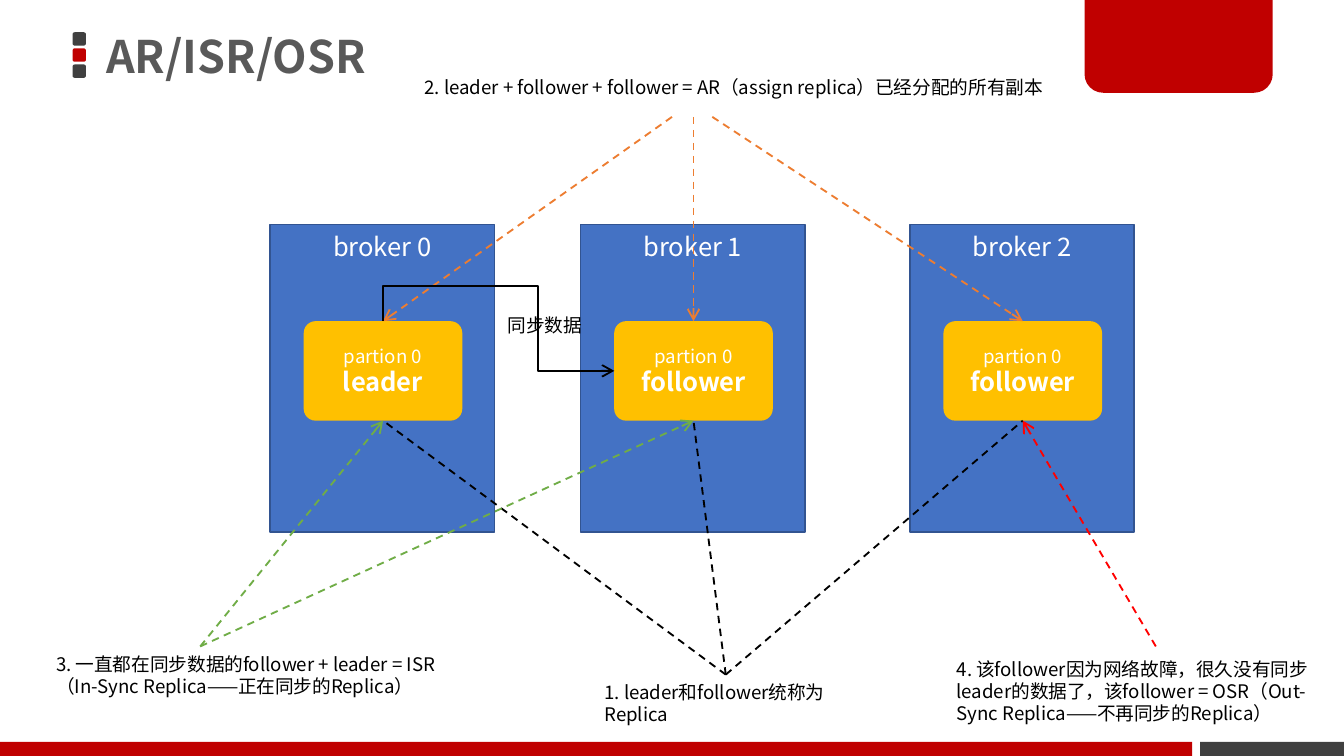
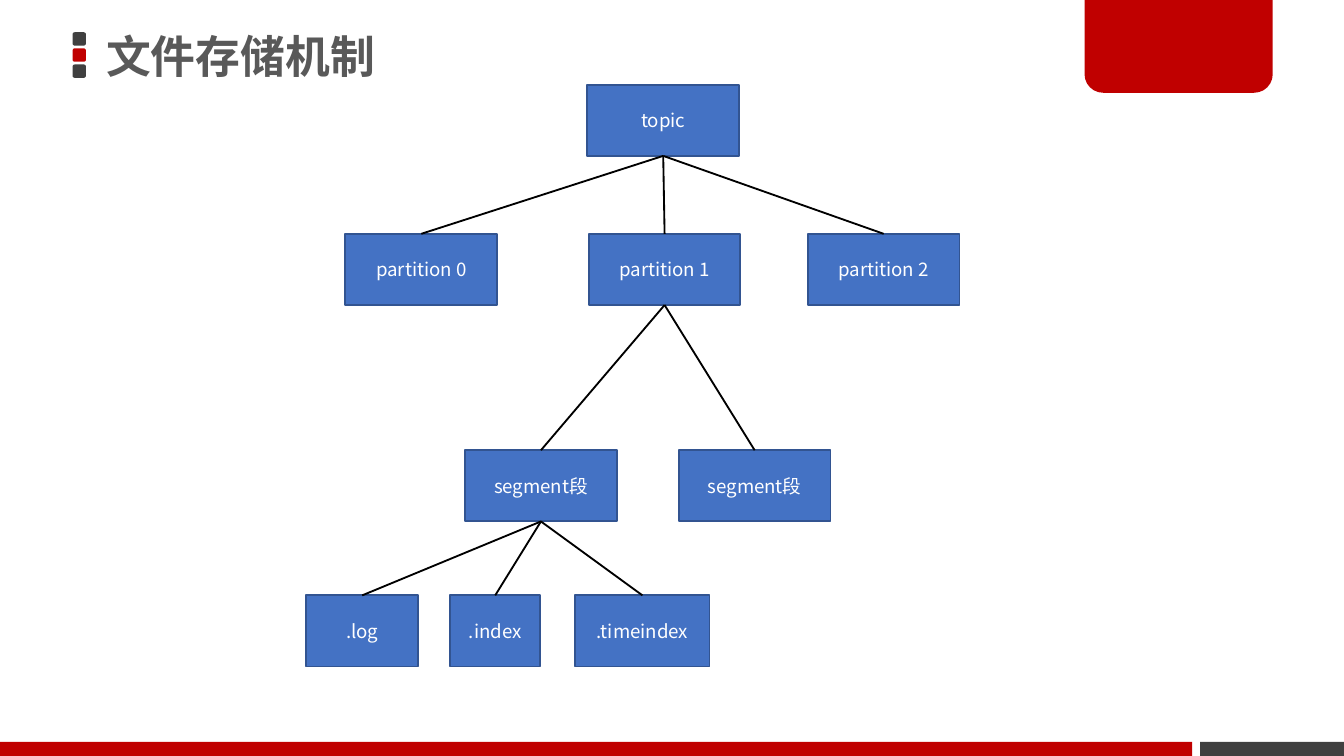
"""Build two slides on replica sets and file storage in a message queue."""
from dataclasses import dataclass
from typing import Optional

from lxml.etree import SubElement
from pptx import Presentation
from pptx.dml.color import RGBColor
from pptx.enum.dml import MSO_LINE
from pptx.enum.shapes import MSO_CONNECTOR as Link, MSO_SHAPE as Preset
from pptx.enum.text import MSO_ANCHOR as Anchor, MSO_AUTO_SIZE as AutoSize, PP_ALIGN as Align
from pptx.oxml.ns import qn
from pptx.util import Inches, Pt

RED = RGBColor(0xC0, 0x00, 0x00)
DARK = RGBColor(0x40, 0x40, 0x40)
TITLE_GREY = RGBColor(0x59, 0x59, 0x59)
BLUE = RGBColor(0x44, 0x72, 0xC4)
NAVY = RGBColor(0x32, 0x54, 0x91)
GOLD = RGBColor(0xFF, 0xC0, 0x00)
WHITE = RGBColor(0xFF, 0xFF, 0xFF)
BLACK = RGBColor(0x00, 0x00, 0x00)
ORANGE = RGBColor(0xED, 0x7D, 0x31)
GREEN = RGBColor(0x70, 0xAD, 0x47)
ALERT = RGBColor(0xFF, 0x00, 0x00)

FONT = "Noto Sans CJK SC"
COLUMNS, ROWS = 100, 56.25
CELL = Inches(0.1)
TOP, LEFT, BOTTOM = 0, 1, 2
SMALL, LARGE, TITLE_SIZE = 10, 13.7, 24
LINE_HEIGHT = 1.18
BROKER_ROW, PARTITION_ROW = 16.7, 23.9
PARTITION_SHIFT = 2.5
TREE_ROWS = (6.3, 17.4, 33.5, 44.3)


@dataclass(frozen=True)
class Area:
    column: float
    row: float
    width: float
    height: float

    def lengths(self) -> tuple:
        return tuple(cells(n) for n in (self.column, self.row, self.width, self.height))


@dataclass(frozen=True)
class Block:
    area: Area
    fill: RGBColor
    preset: int = Preset.RECTANGLE
    adjustments: tuple = ()
    line: Optional[RGBColor] = None


@dataclass(frozen=True)
class Broker:
    name: str
    role: str
    column: float


@dataclass(frozen=True)
class Note:
    text: str
    area: Area


@dataclass(frozen=True)
class Ray:
    column: float
    row: float
    target: int
    side: int
    color: RGBColor
    arrow: bool = True


@dataclass(frozen=True)
class Node:
    text: str
    column: float
    width: float = 11.3
    children: tuple = ()


FRAME = [
    *(Block(Area(5.4, 2.4 + 1.2 * i, 1, 1), color, Preset.ROUNDED_RECTANGLE, (0.167,))
      for i, color in enumerate((DARK, RED, DARK))),
    Block(Area(89.3, 55.2, 10.7, 1.05), DARK),
    Block(Area(80.7, 0, 14, 6.9), RED, Preset.ROUND_2_SAME_RECTANGLE, (0, 0.2)),
    Block(Area(0, 55.2, 88.7, 1.05), RED),
]
BROKERS = [
    Broker("broker 0", "leader", 20.1),
    Broker("broker 1", "follower", 43.2),
    Broker("broker 2", "follower", 67.7),
]
RAYS = [
    *(Ray(54, 50.2, i, BOTTOM, BLACK, arrow=False) for i in range(3)),
    *(Ray(column, 8.7, i, TOP, ORANGE) for i, column in enumerate((50, 51.6, 53))),
    *(Ray(14.9, 48.1, i, BOTTOM, GREEN) for i in range(2)),
    Ray(86, 48.1, 2, BOTTOM, ALERT),
]
NOTES = [
    Note("1. leader和follower统称为 Replica", Area(44, 50.2, 23, 2.7)),
    Note("2. leader + follower + follower = AR（assign replica）已经分配的所有副本",
         Area(30.6, 5.2, 48.7, 2.7)),
    Note("同步数据", Area(36.8, 22.9, 8.4, 2.7)),
    Note("3. 一直都在同步数据的follower + leader = ISR（In-Sync Replica——正在同步的Replica）",
         Area(3.2, 48.1, 32, 4.4)),
    Note("4. 该follower因为网络故障，很久没有同步leader的数据了，"
         "该follower = OSR（Out-Sync Replica——不再同步的Replica）",
         Area(70.2, 48.5, 29.6, 7.7)),
]
TREE = Node("topic", 43.7, children=(
    Node("partition 0", 25.7),
    Node("partition 1", 43.8, children=(
        Node("segment段", 34.6, children=(
            Node(".log", 22.8, 8.3),
            Node(".index", 33.5, 6.7),
            Node(".timeindex", 42.8, 10),
        )),
        Node("segment段", 50.5),
    )),
    Node("partition 2", 60.1),
))


def cells(count: float) -> int:
    """Turn a number of grid cells into a length."""
    return round(count * CELL)


def write(para, text: str, *, size: float = SMALL, color: RGBColor = BLACK,
          bold: bool = False, align: Optional[int] = None,
          spacing: Optional[float] = None) -> None:
    """Put one formatted span in a paragraph."""
    para.alignment = align
    para.line_spacing = spacing or Pt(size * LINE_HEIGHT)
    span = para.add_run()
    span.text = text
    font = span.font
    font.name, font.size, font.bold = FONT, Pt(size), bold
    font.color.rgb = color
    SubElement(span.font._element, qn("a:ea"), typeface=FONT)


def add_block(page, block: Block):
    """Draw a filled shape."""
    box = page.shapes.add_shape(block.preset, *block.area.lengths())
    box.shadow.inherit = False
    for i, value in enumerate(block.adjustments):
        box.adjustments[i] = value
    box.fill.solid()
    box.fill.fore_color.rgb = block.fill
    if block.line is None:
        box.line.fill.background()
    else:
        box.line.color.rgb = block.line
        box.line.width = Pt(1)
    return box


def style_connector(connector, color: RGBColor, dashed: bool = False,
                    arrow: bool = False) -> None:
    """Format a connector and take its shadow away."""
    connector.line.color.rgb = color
    connector.line.width = Pt(1)
    if dashed:
        connector.line.dash_style = MSO_LINE.DASH
    properties = connector.element.spPr
    if arrow:
        SubElement(properties.find(qn("a:ln")), qn("a:tailEnd"), type="arrow")
    SubElement(properties, qn("a:effectLst"))


def add_page(deck, title: str):
    """Add a slide with the shared frame and title."""
    page = deck.slides.add_slide(deck.slide_layouts[5])
    for block in FRAME:
        add_block(page, block)
    box = page.shapes.title
    box.left, box.top, box.width, box.height = Area(6.9, 0, 86.3, 8.7).lengths()
    frame = box.text_frame
    frame.vertical_anchor = Anchor.MIDDLE
    frame.auto_size = AutoSize.NONE
    write(frame.paragraphs[0], title, size=TITLE_SIZE, color=TITLE_GREY,
          bold=True, align=Align.LEFT, spacing=0.9)
    return page


def add_broker(page, broker: Broker):
    """Draw a broker and return the partition inside it."""
    box = add_block(page, Block(Area(broker.column, BROKER_ROW, 16.7, 22.9), BLUE, line=NAVY))
    box.text_frame.vertical_anchor = Anchor.TOP
    write(box.text_frame.paragraphs[0], broker.name, size=LARGE, color=WHITE, align=Align.CENTER)
    area = Area(broker.column + PARTITION_SHIFT, PARTITION_ROW, 11.8, 7.4)
    partition = add_block(page, Block(area, GOLD, Preset.ROUNDED_RECTANGLE, (0.119,)))
    frame = partition.text_frame
    frame.vertical_anchor = Anchor.MIDDLE
    write(frame.paragraphs[0], "partion 0", color=WHITE, align=Align.CENTER)
    write(frame.add_paragraph(), broker.role, size=LARGE, color=WHITE, bold=True,
          align=Align.CENTER)
    return partition


def add_ray(page, ray: Ray, partition) -> None:
    """Draw a dashed line from a point to a partition."""
    x, y = cells(ray.column), cells(ray.row)
    connector = page.shapes.add_connector(Link.STRAIGHT, x, y, x, y)
    connector.end_connect(partition, ray.side)
    style_connector(connector, ray.color, dashed=True, arrow=ray.arrow)


def add_sync_path(page, leader, follower) -> None:
    """Draw the bent arrow from the top of the leader to the left of the follower."""
    x, y = leader.left + leader.width // 2, leader.top
    across, down = follower.left - x, follower.top + follower.height // 2 - y
    connector = page.shapes.add_connector(Link.ELBOW, x, y, x + across, y + down)
    connector.begin_connect(leader, TOP)
    connector.end_connect(follower, LEFT)
    connector.left, connector.top = x + (across - down) // 2, y + (down - across) // 2
    connector.width, connector.height = down, across
    properties = connector.element.spPr
    transform = properties.find(qn("a:xfrm"))
    transform.set("rot", str(270 * 60000))
    transform.set("flipH", "1")
    geometry = properties.find(qn("a:prstGeom"))
    geometry.set("prst", "bentConnector4")
    guides = geometry.find(qn("a:avLst"))
    for name, value in (("adj1", -70400), ("adj2", 67000)):
        SubElement(guides, qn("a:gd"), name=name, fmla=f"val {value}")
    style_connector(connector, BLACK, arrow=True)


def add_note(page, note: Note) -> None:
    """Write a wrapped note."""
    box = page.shapes.add_textbox(*note.area.lengths())
    box.text_frame.word_wrap = True
    box.text_frame.auto_size = AutoSize.SHAPE_TO_FIT_TEXT
    write(box.text_frame.paragraphs[0], note.text)


def add_tree(page, node: Node, level: int = 0):
    """Draw a node with all its branches and return its box."""
    box = add_block(page, Block(Area(node.column, TREE_ROWS[level], node.width, 5.3),
                                BLUE, line=NAVY))
    frame = box.text_frame
    frame.vertical_anchor = Anchor.MIDDLE
    frame.word_wrap = False
    write(frame.paragraphs[0], node.text, color=WHITE, align=Align.CENTER)
    for child in node.children:
        branch = add_tree(page, child, level + 1)
        connector = page.shapes.add_connector(Link.STRAIGHT, 0, 0, 0, 0)
        connector.begin_connect(box, BOTTOM)
        connector.end_connect(branch, TOP)
        style_connector(connector, BLACK)
    return box


def main() -> None:
    """Build and save the deck."""
    deck = Presentation()
    deck.slide_width, deck.slide_height = cells(COLUMNS), cells(ROWS)

    page = add_page(deck, "AR/ISR/OSR")
    partitions = [add_broker(page, broker) for broker in BROKERS]
    for ray in RAYS:
        add_ray(page, ray, partitions[ray.target])
    add_sync_path(page, partitions[0], partitions[1])
    for note in NOTES:
        add_note(page, note)

    add_tree(add_page(deck, "文件存储机制"), TREE)
    deck.save("out.pptx")


if __name__ == "__main__":
    main()
